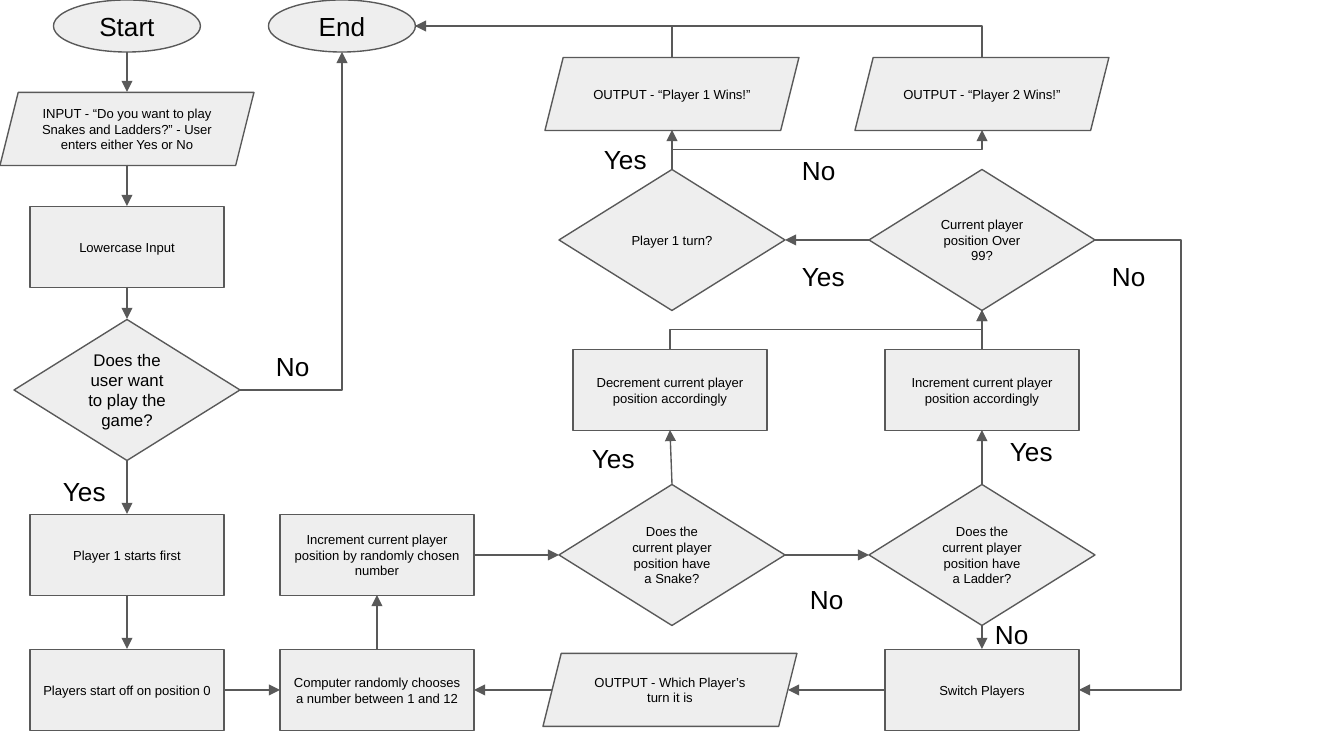
from dataclasses import dataclass

from lxml import etree
from pptx import Presentation
from pptx import util as u
from pptx.dml.color import RGBColor
from pptx.enum import shapes, text
from pptx.oxml.ns import qn

EMU_PER_PX = 914400 / 134.4
FILL = RGBColor(0xEE, 0xEE, 0xEE)
LINE = RGBColor(0x59, 0x59, 0x59)
INK = RGBColor(0, 0, 0)
FONT = "Arial"
LINE_PT = 0.75
INSET = 13
SLANT = 0.25
LABEL_W, LABEL_H = 78, 55

KIND = shapes.MSO_SHAPE
OVAL, BOX = KIND.OVAL, KIND.RECTANGLE
TEST, DATA = KIND.DIAMOND, KIND.PARALLELOGRAM
SIZES = {OVAL: (147, 52), BOX: (194, 81), TEST: (226, 141), DATA: (254, 73)}

# Column centres and row centres
COL1, COL2, COL3, COL4 = 127, 377, 672, 982
ROW_END, ROW_WIN, ROW_TURN, ROW_MOVE, ROW_ROLL, ROW_LAST = 26, 94, 240, 390, 555, 690


@dataclass
class Node:
    """A flowchart step, placed by its centre."""
    kind: KIND
    x: int
    y: int
    words: str
    pt: int = 7

    def side(self, name: str) -> tuple[int, int]:
        """Return the point where a link meets the named side."""
        w, h = SIZES[self.kind]
        inset = round(h * SLANT / 2) if self.kind == DATA else 0
        dx, dy = {"top": (0, -h // 2), "bottom": (0, h // 2),
                  "left": (inset - w // 2, 0), "right": (w // 2 - inset, 0)}[name]
        return self.x + dx, self.y + dy


@dataclass
class Link:
    """A line between two steps: straight, one corner, or two bends."""
    start: str
    start_side: str
    end: str
    end_side: str
    corner: bool = False
    bend: float | None = None
    arrow: bool = True


@dataclass
class Label:
    """A branch answer, placed by its top left corner."""
    words: str
    x: int
    y: int


NODES = {
    "start": Node(OVAL, COL1, ROW_END, "Start", 14),
    "end": Node(OVAL, 342, ROW_END, "End", 14),
    "ask": Node(DATA, COL1, 129, "INPUT - “Do you want to play Snakes and Ladders?”"
                " - User enters either Yes or No"),
    "lower": Node(BOX, COL1, 247, "Lowercase Input"),
    "want": Node(TEST, COL1, ROW_MOVE, "Does the user want to play the game?", 9),
    "first": Node(BOX, COL1, ROW_ROLL, "Player 1 starts first"),
    "zero": Node(BOX, COL1, ROW_LAST, "Players start off on position 0"),
    "roll": Node(BOX, COL2, ROW_LAST, "Computer randomly chooses a number between 1 and 12"),
    "step": Node(BOX, COL2, ROW_ROLL,
                 "Increment current player position by randomly chosen number"),
    "snake": Node(TEST, COL3, ROW_ROLL, "Does the current player position have a Snake?"),
    "ladder": Node(TEST, COL4, ROW_ROLL, "Does the current player position have a Ladder?"),
    "down": Node(BOX, 670, ROW_MOVE, "Decrement current player position accordingly"),
    "up": Node(BOX, COL4, ROW_MOVE, "Increment current player position accordingly"),
    "over": Node(TEST, COL4, ROW_TURN, "Current player position Over 99?"),
    "turn": Node(TEST, COL3, ROW_TURN, "Player 1 turn?"),
    "win1": Node(DATA, COL3, ROW_WIN, "OUTPUT - “Player 1 Wins!”"),
    "win2": Node(DATA, COL4, ROW_WIN, "OUTPUT - “Player 2 Wins!”"),
    "switch": Node(BOX, COL4, ROW_LAST, "Switch Players"),
    "which": Node(DATA, 670, ROW_LAST, "OUTPUT - Which Player’s turn it is"),
}

LINKS = [
    Link("start", "bottom", "ask", "top"),
    Link("ask", "bottom", "lower", "top"),
    Link("lower", "bottom", "want", "top"),
    Link("want", "bottom", "first", "top"),
    Link("want", "right", "end", "bottom", corner=True),
    Link("first", "bottom", "zero", "top"),
    Link("zero", "right", "roll", "left"),
    Link("roll", "top", "step", "bottom"),
    Link("step", "right", "snake", "left"),
    Link("snake", "top", "down", "bottom"),
    Link("snake", "right", "ladder", "left"),
    Link("ladder", "top", "up", "bottom"),
    Link("ladder", "bottom", "switch", "top"),
    Link("down", "top", "over", "bottom", bend=0.5),
    Link("up", "top", "over", "bottom"),
    Link("over", "left", "turn", "right"),
    Link("over", "right", "switch", "right", bend=-5.38),
    Link("turn", "top", "win1", "bottom"),
    Link("turn", "top", "win2", "bottom", bend=0.5),
    Link("win1", "top", "end", "right", corner=True, arrow=False),
    Link("win2", "top", "end", "right", corner=True),
    Link("switch", "left", "which", "right"),
    Link("which", "left", "roll", "right"),
]

LABELS = [
    Label("No", 263, 337), Label("Yes", 50, 462), Label("Yes", 579, 429),
    Label("No", 797, 570), Label("No", 1099, 247), Label("Yes", 997, 422),
    Label("Yes", 789, 247), Label("Yes", 591, 130), Label("No", 789, 141),
    Label("No", 982, 605),
]


def px(n: float) -> u.Emu:
    """Turn pixels into EMU."""
    return u.Emu(round(n * EMU_PER_PX))


def write(s, words: str, pt: int, align, anchor) -> None:
    """Put formatted text into a shape."""
    tf = s.text_frame
    tf.word_wrap = True
    tf.vertical_anchor = anchor
    tf.margin_left = tf.margin_right = tf.margin_top = tf.margin_bottom = px(INSET)
    tf.text = words
    p = tf.paragraphs[0]
    p.alignment = align
    font = p.runs[0].font
    font.name, font.size, font.color.rgb = FONT, u.Pt(pt), INK


def add_node(slide, node: Node) -> None:
    """Draw one step."""
    w, h = SIZES[node.kind]
    s = slide.shapes.add_shape(node.kind, px(node.x - w / 2), px(node.y - h / 2), px(w), px(h))
    if node.kind == DATA:
        s.adjustments[0] = SLANT
    s.shadow.inherit = False
    s.fill.solid()
    s.fill.fore_color.rgb = FILL
    s.line.color.rgb = LINE
    s.line.width = u.Pt(LINE_PT)
    write(s, node.words, node.pt, text.PP_ALIGN.CENTER, text.MSO_ANCHOR.MIDDLE)


def add_link(slide, link: Link) -> None:
    """Draw one link; an elbow that leaves upwards is a turned box."""
    x1, y1 = NODES[link.start].side(link.start_side)
    x2, y2 = NODES[link.end].side(link.end_side)
    elbow = link.corner or link.bend is not None
    turn = 0
    if elbow and link.start_side == "top":
        turn = 270 if x2 > x1 else 90
        cx, cy = (x1 + x2) / 2, (y1 + y2) / 2
        half_w, half_h = (y1 - y2) / 2, abs(x2 - x1) / 2
        if turn == 90:
            half_w = -half_w
        x1, x2, y1, y2 = cx - half_w, cx + half_w, cy - half_h, cy + half_h
    kind = shapes.MSO_CONNECTOR.ELBOW if elbow else shapes.MSO_CONNECTOR.STRAIGHT
    c = slide.shapes.add_connector(kind, px(x1), px(y1), px(x2), px(y2))
    c.line.color.rgb = LINE
    c.line.width = u.Pt(LINE_PT)
    sp_pr = c._element.spPr
    if turn:
        sp_pr.find(qn("a:xfrm")).set("rot", str(turn * 60000))
    geom = sp_pr.find(qn("a:prstGeom"))
    if link.corner:
        geom.set("prst", "bentConnector2")
    elif elbow:
        etree.SubElement(geom.find(qn("a:avLst")), qn("a:gd"),
                         name="adj1", fmla=f"val {round(link.bend * 100000)}")
    if link.arrow:
        etree.SubElement(sp_pr.find(qn("a:ln")), qn("a:tailEnd"), type="triangle")
    etree.SubElement(sp_pr, qn("a:effectLst"))


def add_label(slide, label: Label) -> None:
    """Draw one branch answer."""
    s = slide.shapes.add_textbox(px(label.x), px(label.y), px(LABEL_W), px(LABEL_H))
    write(s, label.words, 14, text.PP_ALIGN.LEFT, text.MSO_ANCHOR.TOP)


prs = Presentation()
prs.slide_width, prs.slide_height = px(1344), px(756)
slide = prs.slides.add_slide(prs.slide_layouts[6])
for node in NODES.values():
    add_node(slide, node)
for link in LINKS:
    add_link(slide, link)
for label in LABELS:
    add_label(slide, label)
prs.save("out.pptx")
